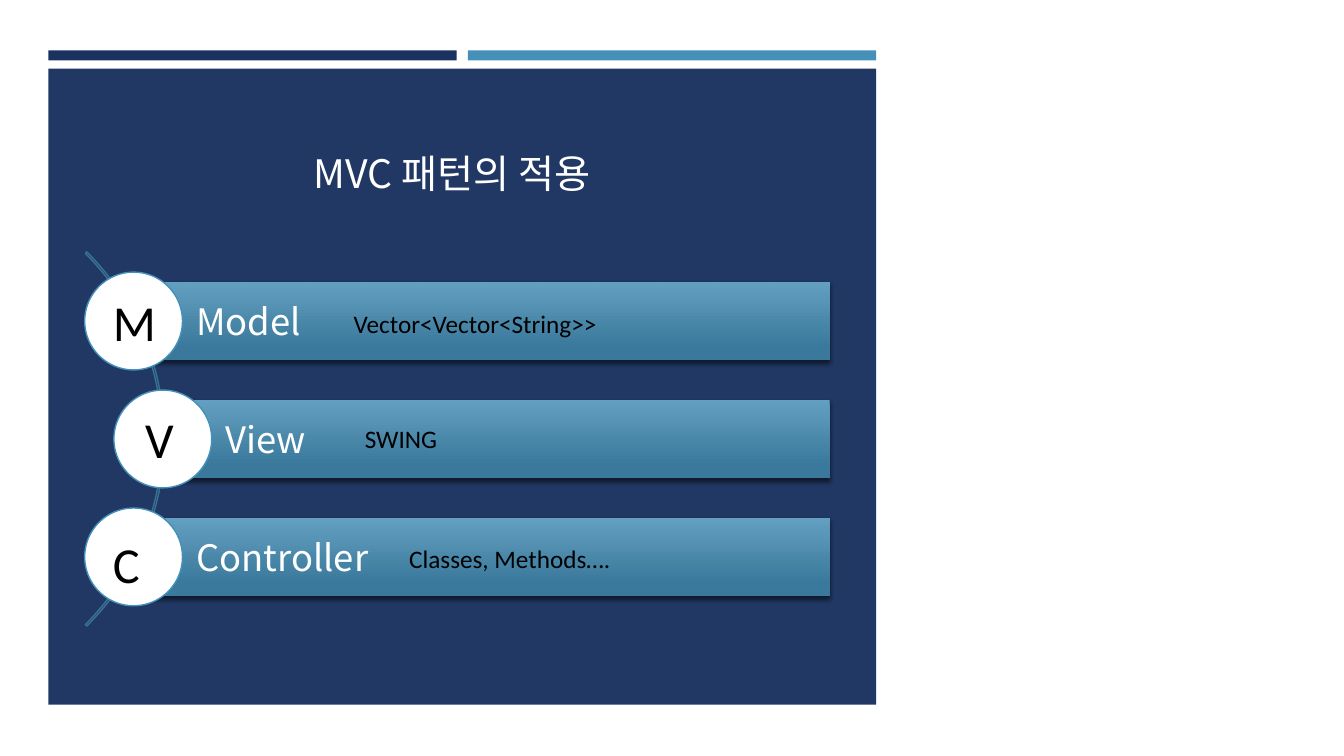
from dataclasses import dataclass
from lxml.etree import SubElement
from pptx import Presentation
from pptx.dml.color import RGBColor
from pptx.enum.shapes import MSO_SHAPE as SHAPE
from pptx.enum.text import MSO_ANCHOR as ANCHOR, PP_ALIGN as ALIGN
from pptx.oxml.ns import qn
from pptx.util import Inches, Pt


@dataclass(frozen=True)
class Theme:
    """Colours, fonts and type sizes."""
    navy: str = "1A3260"
    blue: str = "4590B8"
    arc: str = "377393"
    bar_top: str = "639FC1"
    bar_end: str = "3A799B"
    white: str = "FFFFFF"
    black: str = "000000"
    heading: str = "Noto Sans CJK KR"
    body: str = "Calibri"
    title_pt: int = 28
    bar_pt: int = 26
    letter_pt: int = 36
    detail_pt: int = 18


T = Theme()
PITCH, DISC, BAR_H = 1.17, 0.97, 0.78
ROWS = [
    dict(label="Model", letter="M", detail="Vector<Vector<String>>",
         indent=0, letter_at=(0.18, 0.14), detail_at=(2.57, 0.31)),
    dict(label="View", letter="V", detail="SWING",
         indent=0.29, letter_at=(0.21, 0.13), detail_at=(2.39, 0.28)),
    dict(label="Controller", letter="C", detail="Classes, Methods….",
         indent=0, letter_at=(0.18, 0.20), detail_at=(3.12, 0.30)),
]


def rgb(value):
    """Return a colour from its hex value."""
    return RGBColor.from_string(value)


def shape(s, kind, box, fill=None, line=None):
    """Add a flat preset shape."""
    sp = s.shapes.add_shape(kind, *map(Inches, box))
    sp.shadow.inherit = False
    if fill:
        sp.fill.solid()
        sp.fill.fore_color.rgb = rgb(fill)
    else:
        sp.fill.background()
    if line:
        sp.line.color.rgb = rgb(line)
        sp.line.width = Pt(1)
    else:
        sp.line.fill.background()
    return sp


def write(sp, text, font, size, color, align=ALIGN.LEFT, **frame):
    """Write one formatted paragraph into a shape."""
    tf = sp.text_frame
    for name, value in {"word_wrap": True, **frame}.items():
        setattr(tf, name, value)
    p = tf.paragraphs[0]
    p.alignment = align
    r = p.add_run()
    r.text = text
    for name, value in {"name": font, "size": Pt(size)}.items():
        setattr(r.font, name, value)
    r.font.color.rgb = rgb(color)
    SubElement(r.font._element, qn("a:ea"), typeface=font)


def text(s, box, *content, **frame):
    """Add a text box."""
    write(s.shapes.add_textbox(*map(Inches, box)), *content, **frame)


def set_alpha(clr, percent):
    """Give a colour element an opacity."""
    SubElement(clr, qn("a:alpha"), val=str(percent * 1000))


def backdrop(s, box):
    """Draw the two top strips and the navy panel below them."""
    x, y, w, h = box
    strip, top = 4.05, 0.18
    panel = shape(s, SHAPE.RECTANGLE, (x, y + top, w, h - top), T.navy)
    set_alpha(next(panel._element.spPr.iter(qn("a:srgbClr"))), 97)
    for left, color in ((x, T.navy), (x + w - strip, T.blue)):
        shape(s, SHAPE.RECTANGLE, (left, y, strip, 0.1), color)


def bar(s, box, label):
    """Draw a shaded, labelled bar."""
    sp = shape(s, SHAPE.RECTANGLE, box)
    sp.fill.gradient()
    sp.fill.gradient_angle = 270
    for stop, color, pos in zip(sp.fill.gradient_stops,
                                (T.bar_top, T.bar_end), (0, 0.84)):
        stop.color.rgb = rgb(color)
        stop.position = pos
    shadow = SubElement(sp._element.spPr.find(qn("a:effectLst")), qn("a:outerShdw"),
                        blurRad=str(Pt(3)), dist=str(Pt(2)), dir="5400000",
                        rotWithShape="0")
    set_alpha(SubElement(shadow, qn("a:srgbClr"), val=T.black), 55)
    inset = Inches(0.07)
    write(sp, label, T.heading, T.bar_pt, T.white,
          vertical_anchor=ANCHOR.MIDDLE, margin_left=Inches(0.62),
          margin_right=inset, margin_top=inset, margin_bottom=inset)


def mvc_list(s, box):
    """Draw the arc with its three rows of disc and bar."""
    x, y, w, h = box
    size = 5.25
    arc = shape(s, SHAPE.BLOCK_ARC,
                (x - 4.46, y + (h - size) / 2, size, size), line=T.arc)
    for i, value in enumerate((189, 27, 0.004)):
        arc.adjustments[i] = value
    for i, row in enumerate(ROWS):
        left, top = x + row["indent"], y + i * PITCH
        start = left + DISC / 2
        bar(s, (start, top + (DISC - BAR_H) / 2, x + w - start, BAR_H), row["label"])
        shape(s, SHAPE.OVAL, (left, top, DISC, DISC), T.white, T.blue)
        for key, size_pt, width, height in (("letter", T.letter_pt, 0.65, 0.71),
                                            ("detail", T.detail_pt, 4.73, 0.4)):
            dx, dy = row[key + "_at"]
            text(s, (left + dx, top + dy, width, height),
                 row[key], T.body, size_pt, T.black)


def main():
    """Build and save the slide."""
    prs = Presentation()
    prs.slide_width, prs.slide_height = Inches(13.33), Inches(7.5)
    s = prs.slides.add_slide(prs.slide_layouts[6])
    backdrop(s, (0.48, 0.5, 8.21, 6.49))
    text(s, (0.54, 1.1, 7.89, 1.23), "MVC 패턴의 적용", T.heading, T.title_pt,
         T.white, ALIGN.CENTER, vertical_anchor=ANCHOR.MIDDLE)
    mvc_list(s, (0.84, 2.7, 7.39, 2 * PITCH + DISC))
    prs.save("out.pptx")


if __name__ == "__main__":
    main()
